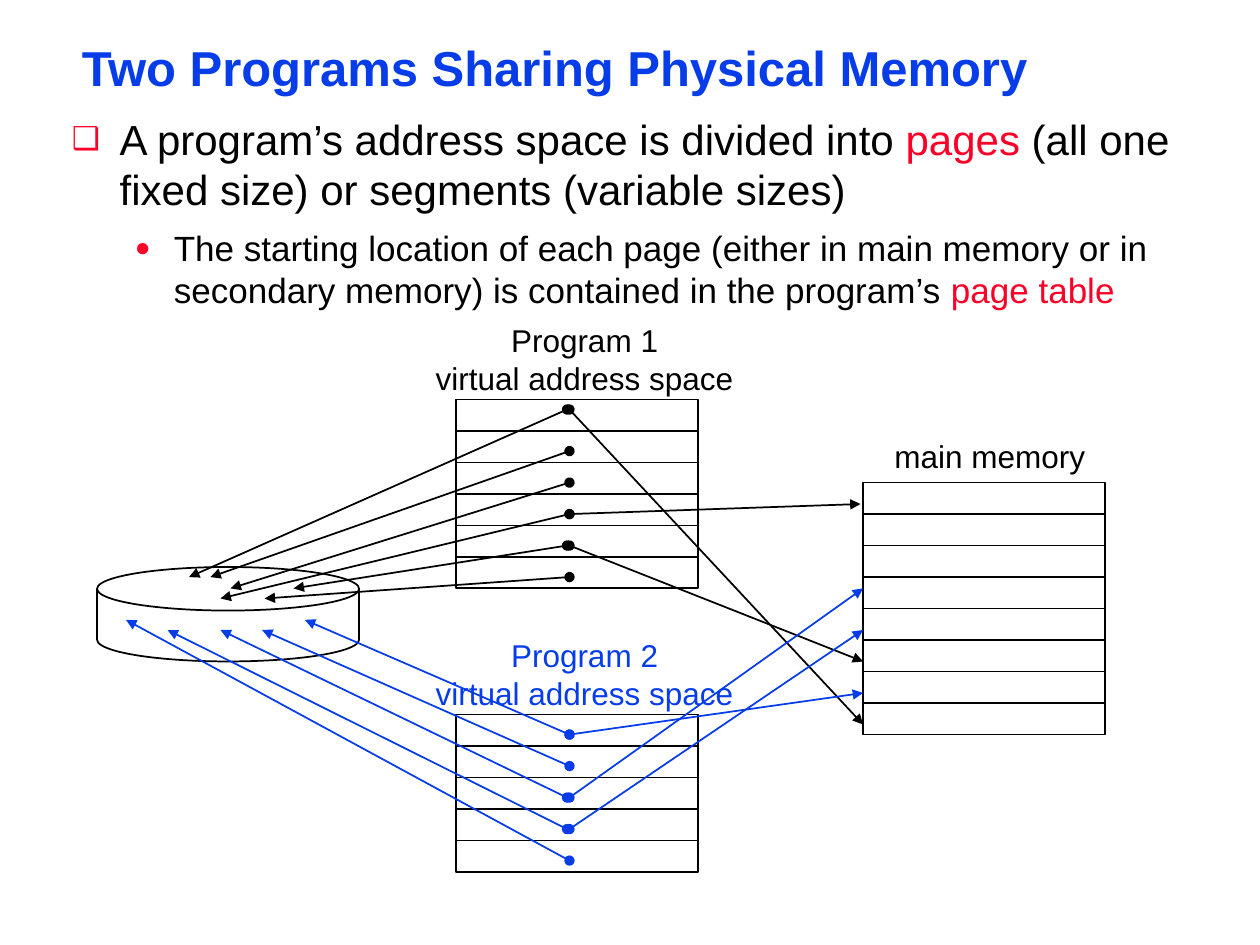
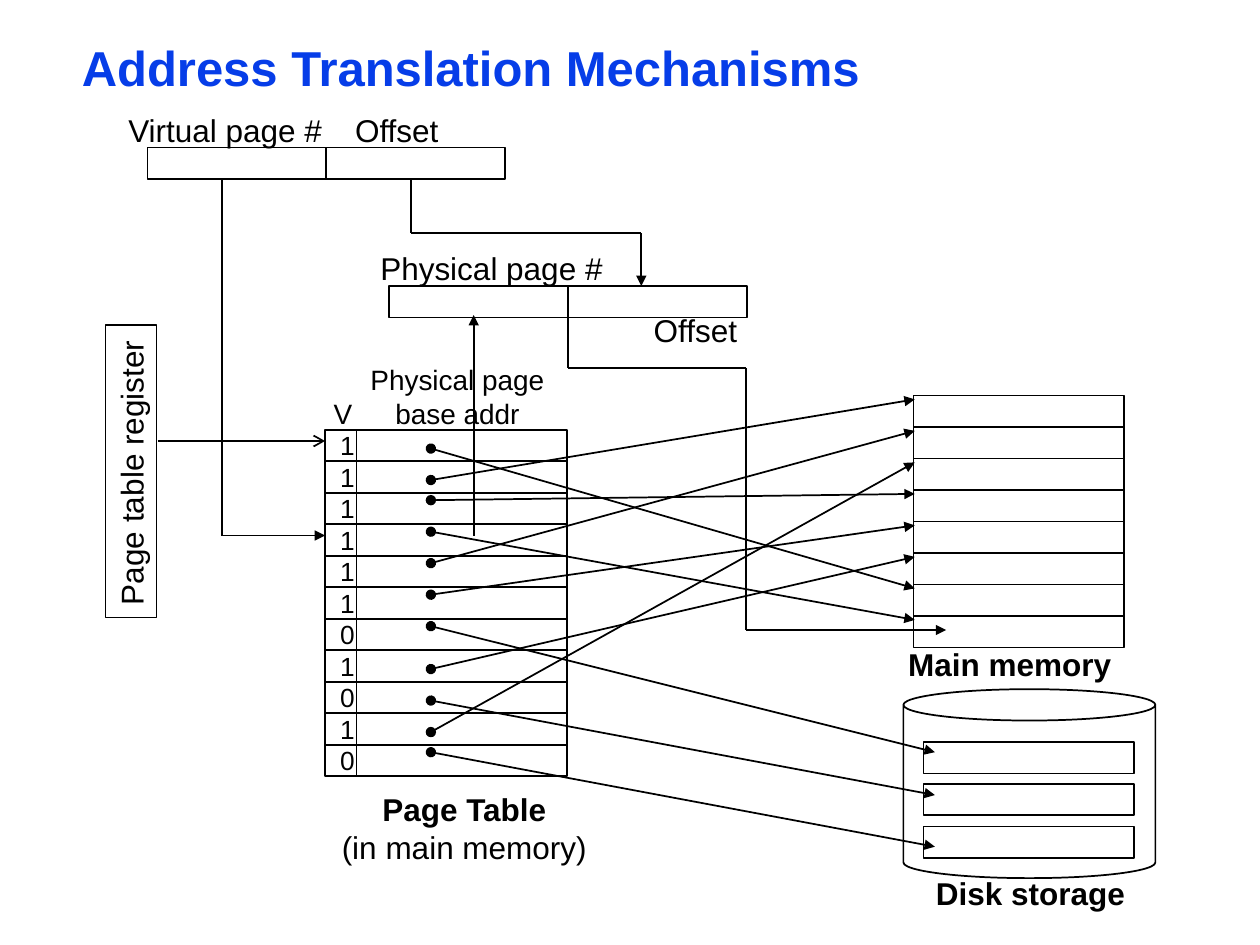
"""Build two slides on virtual memory: shared physical memory and address translation."""
from dataclasses import dataclass
from itertools import pairwise

from lxml.etree import SubElement
from pptx import Presentation
from pptx.dml.color import RGBColor
from pptx.enum.shapes import MSO_CONNECTOR, MSO_SHAPE
from pptx.enum.text import PP_ALIGN
from pptx.oxml.ns import qn
from pptx.util import Inches, Pt

BLACK = RGBColor(0x00, 0x00, 0x00)
BLUE = RGBColor(0x06, 0x3D, 0xE8)
RED = RGBColor(0xFC, 0x01, 0x28)
FONT = "Arial"
ROW = 0.25


@dataclass
class Stack:
    """A box ruled into rows of equal height."""
    left: float
    top: float
    width: float
    rows: int = 1


@dataclass
class Label:
    """An unwrapped text, one paragraph a line."""
    left: float
    top: float
    width: float
    height: float
    text: str
    size: float = 18
    color: RGBColor = BLACK
    centered: bool = False
    bold_lines: int = 0
    pitch: float | None = None


@dataclass
class Link:
    """A straight line with optional ends."""
    start: tuple[float, float]
    end: tuple[float, float]
    color: RGBColor = BLACK
    head: str = ""
    tail: str = ""


@dataclass
class Bullet:
    """A bulleted paragraph made of coloured pieces."""
    char: str
    size: float
    margin: float
    hang: float
    before: float
    pieces: list[tuple[str, RGBColor]]


def style_font(font, size: float, color: RGBColor, bold: bool = False) -> None:
    """Set the name, size, colour and weight of a font."""
    font.name = FONT
    font.size = Pt(size)
    font.color.rgb = color
    font.bold = bold


def set_margins(tf, side: float, top: float, bottom: float) -> None:
    """Set the insets of a text frame."""
    tf.margin_left = tf.margin_right = Inches(side)
    tf.margin_top = Inches(top)
    tf.margin_bottom = Inches(bottom)


def add_outline(s, kind: MSO_SHAPE, left: float, top: float, width: float,
                height: float, weight: float = 1):
    """Draw an unfilled shape with a black line."""
    sp = s.shapes.add_shape(kind, Inches(left), Inches(top), Inches(width), Inches(height))
    sp.shadow.inherit = False
    sp.fill.background()
    sp.line.color.rgb = BLACK
    sp.line.width = Pt(weight)
    return sp


def add_link(s, link: Link) -> None:
    """Draw a line with its arrowheads."""
    ends = [Inches(v) for v in (*link.start, *link.end)]
    line = s.shapes.add_connector(MSO_CONNECTOR.STRAIGHT, *ends)
    line.line.color.rgb = link.color
    line.line.width = Pt(1)
    ln = line.line._get_or_add_ln()
    for tag, kind in (("a:headEnd", link.head), ("a:tailEnd", link.tail)):
        if kind:
            SubElement(ln, qn(tag), type=kind)
    SubElement(line._element.spPr, qn("a:effectLst"))


def add_pointers(s, x: float, targets: list[tuple[float, float, float]],
                 color: RGBColor = BLACK) -> None:
    """Draw dotted arrows from one column; each target is start y, end x, end y."""
    for y, end_x, end_y in targets:
        add_link(s, Link((x, y), (end_x, end_y), color, "oval", "triangle"))


def add_route(s, points: list[tuple[float, float]], tail: str = "") -> None:
    """Draw a bent route whose last leg carries the arrowhead."""
    legs = list(pairwise(points))
    for i, (start, end) in enumerate(legs, 1):
        add_link(s, Link(start, end, tail=tail if i == len(legs) else ""))


def add_stack(s, stack: Stack) -> None:
    """Draw a ruled box."""
    add_outline(s, MSO_SHAPE.RECTANGLE, stack.left, stack.top, stack.width, stack.rows * ROW)
    for i in range(1, stack.rows):
        y = stack.top + i * ROW
        add_link(s, Link((stack.left, y), (stack.left + stack.width, y)))


def add_can(s, left: float, top: float, width: float, height: float, lid: float) -> None:
    """Draw a disk drum."""
    sp = add_outline(s, MSO_SHAPE.CAN, left, top, width, height)
    sp.adjustments[0] = lid


def write_label(tf, label: Label) -> None:
    """Fill a text frame with the lines of a label."""
    tf.word_wrap = False
    tf.text = label.text
    for i, p in enumerate(tf.paragraphs):
        p.alignment = PP_ALIGN.CENTER if label.centered else PP_ALIGN.LEFT
        if label.pitch:
            p.line_spacing = Pt(label.pitch)
        style_font(p.runs[0].font, label.size, label.color, i < label.bold_lines)


def add_label(s, label: Label) -> None:
    """Place a label in a text box."""
    box = s.shapes.add_textbox(Inches(label.left), Inches(label.top),
                               Inches(label.width), Inches(label.height))
    write_label(box.text_frame, label)


def add_title(s, text: str) -> None:
    """Write the slide title."""
    tf = s.shapes.add_textbox(Inches(0.58), Inches(0.33), Inches(8.92), Inches(0.46)).text_frame
    tf.word_wrap = True
    set_margins(tf, 0.07, 0.03, 0.03)
    tf.text = text
    p = tf.paragraphs[0]
    p.line_spacing = 0.87
    style_font(p.runs[0].font, 28, BLUE, True)


def add_bullets(s, bullets: list[Bullet]) -> None:
    """Write the bulleted body text."""
    tf = s.shapes.add_textbox(Inches(0.5), Inches(0.83), Inches(8.92), Inches(1.62)).text_frame
    tf.word_wrap = True
    set_margins(tf, 0.07, 0.07, 0.03)
    for i, bullet in enumerate(bullets):
        p = tf.add_paragraph() if i else tf.paragraphs[0]
        p.level = i
        pPr = p._p.get_or_add_pPr()
        pPr.set("marL", str(Inches(bullet.margin)))
        pPr.set("indent", str(-Inches(bullet.hang)))
        SubElement(SubElement(pPr, qn("a:buClr")), qn("a:srgbClr"), val=str(RED))
        SubElement(pPr, qn("a:buSzPct"), val="75000")
        SubElement(pPr, qn("a:buFont"), typeface=FONT)
        SubElement(pPr, qn("a:buChar"), char=bullet.char)
        p.space_before = Pt(bullet.before)
        for text, color in bullet.pieces:
            r = p.add_run()
            r.text = text
            style_font(r.font, bullet.size, color)


def build_sharing(s) -> None:
    """Show two programs that share main memory."""
    add_title(s, "Two Programs Sharing Physical Memory")
    add_bullets(s, [
        Bullet("❑", 24, 0.38, 0.38, 0, [
            ("A program’s address space is divided into ", BLACK), ("pages", RED),
            (" (all one fixed size) or segments (variable sizes)", BLACK)]),
        Bullet("●", 20, 0.81, 0.31, 7, [
            ("The starting location of each page (either in main memory or in secondary "
             "memory) is contained in the program’s ", BLACK), ("page table", RED)]),
    ])
    for stack in (Stack(3.62, 3.17, 1.92, 6), Stack(3.62, 5.67, 1.92, 5),
                  Stack(6.85, 3.83, 1.92, 8)):
        add_stack(s, stack)
    add_can(s, 0.77, 4.5, 2.08, 0.75, 0.461)
    for number, top, color in ((1, 2.5, BLACK), (2, 5, BLUE)):
        add_label(s, Label(3.36, top, 2.56, 0.7, f"Program {number}\nvirtual address space",
                           color=color, centered=True))
    add_label(s, Label(7, 3.42, 1.72, 0.4, "main memory"))
    add_pointers(s, 4.52, [
        (3.25, 6.85, 5.75), (4.33, 6.85, 5.25), (4.08, 6.83, 4),
        (3.58, 1.67, 4.58), (3.83, 1.83, 4.67), (4.58, 2.1, 4.75), (4.08, 1.75, 4.75)])
    add_pointers(s, 4.5, [(3.25, 1.5, 4.58), (4.33, 2.33, 4.67)])
    add_pointers(s, 4.52, [
        (5.83, 6.85, 5.5), (6.58, 6.85, 5), (6.33, 6.85, 4.67),
        (6.08, 2.08, 5), (6.83, 1, 4.92), (5.83, 2.42, 4.92)], BLUE)
    add_pointers(s, 4.5, [(6.58, 1.33, 5), (6.33, 1.75, 5)], BLUE)


def build_translation(s) -> None:
    """Show how a page table maps virtual to physical pages."""
    add_title(s, "Address Translation Mechanisms")
    page_table = Stack(2.58, 3.41, 1.92, 11)
    address_fields = [Stack(x, y, 1.42) for x, y in
                      ((1.17, 1.17), (2.59, 1.17), (3.09, 2.27), (4.51, 2.27))]
    disk_pages = [Stack(7.33, y, 1.67) for y in (5.89, 6.22, 6.56)]
    add_can(s, 7.17, 5.47, 2, 1.5, 0.166)
    for stack in (page_table, Stack(7.25, 3.14, 1.67, 8), *address_fields, *disk_pages):
        add_stack(s, stack)
    add_link(s, Link((2.83, 3.41), (2.83, 6.16)))

    memory_x, disk_x = 7.26, 7.42
    add_pointers(s, 3.42, [
        (3.56, memory_x, 4.67), (3.81, memory_x, 3.17), (3.97, memory_x, 3.92),
        (4.22, memory_x, 4.92), (4.47, memory_x, 3.42), (4.72, memory_x, 4.17),
        (4.97, disk_x, 5.97), (5.31, memory_x, 4.42), (5.56, disk_x, 6.31),
        (5.81, memory_x, 3.67), (5.97, disk_x, 6.72)])
    add_route(s, [(1.76, 1.42), (1.76, 4.25), (2.58, 4.25)], "triangle")
    add_route(s, [(3.26, 1.42), (3.26, 1.85), (5.09, 1.85), (5.09, 2.27)], "triangle")
    add_route(s, [(4.51, 2.5), (4.51, 2.92), (5.92, 2.92), (5.92, 5), (7.51, 5)], "triangle")
    add_route(s, [(3.76, 4.25), (3.76, 2.5)], "triangle")
    add_route(s, [(1.25, 3.5), (2.58, 3.5)], "arrow")

    for label in (
        Label(0.92, 0.83, 1.74, 0.4, "Virtual page #"),
        Label(2.72, 0.83, 0.87, 0.4, "Offset"),
        Label(2.92, 1.93, 1.97, 0.4, "Physical page #"),
        Label(5.09, 2.42, 0.87, 0.4, "Offset"),
        Label(2.84, 2.83, 1.58, 0.64, "Physical page\nbase addr", 16, centered=True),
        Label(2.55, 3.1, 0.35, 0.37, "V", 16),
        Label(2.6, 3.36, 0.32, 2.85, "\n".join("11111101010"), 15, pitch=18),
        Label(2.61, 6.22, 2.15, 0.7, "Page Table\n(in main memory)", centered=True, bold_lines=1),
        Label(7.11, 5.07, 1.81, 0.4, "Main memory", bold_lines=1),
        Label(7.33, 6.89, 1.7, 0.4, "Disk storage", bold_lines=1),
    ):
        add_label(s, label)

    register = Label(-0.12, 3.54, 2.32, 0.4, "Page table register")
    sp = add_outline(s, MSO_SHAPE.RECTANGLE, register.left, register.top,
                     register.width, register.height, 0.75)
    sp.rotation = 270
    write_label(sp.text_frame, register)


def main() -> None:
    """Build and save the presentation."""
    prs = Presentation()
    prs.slide_width, prs.slide_height = Inches(10), Inches(7.5)
    for build in (build_sharing, build_translation):
        build(prs.slides.add_slide(prs.slide_layouts[6]))
    prs.save("out.pptx")


if __name__ == "__main__":
    main()
